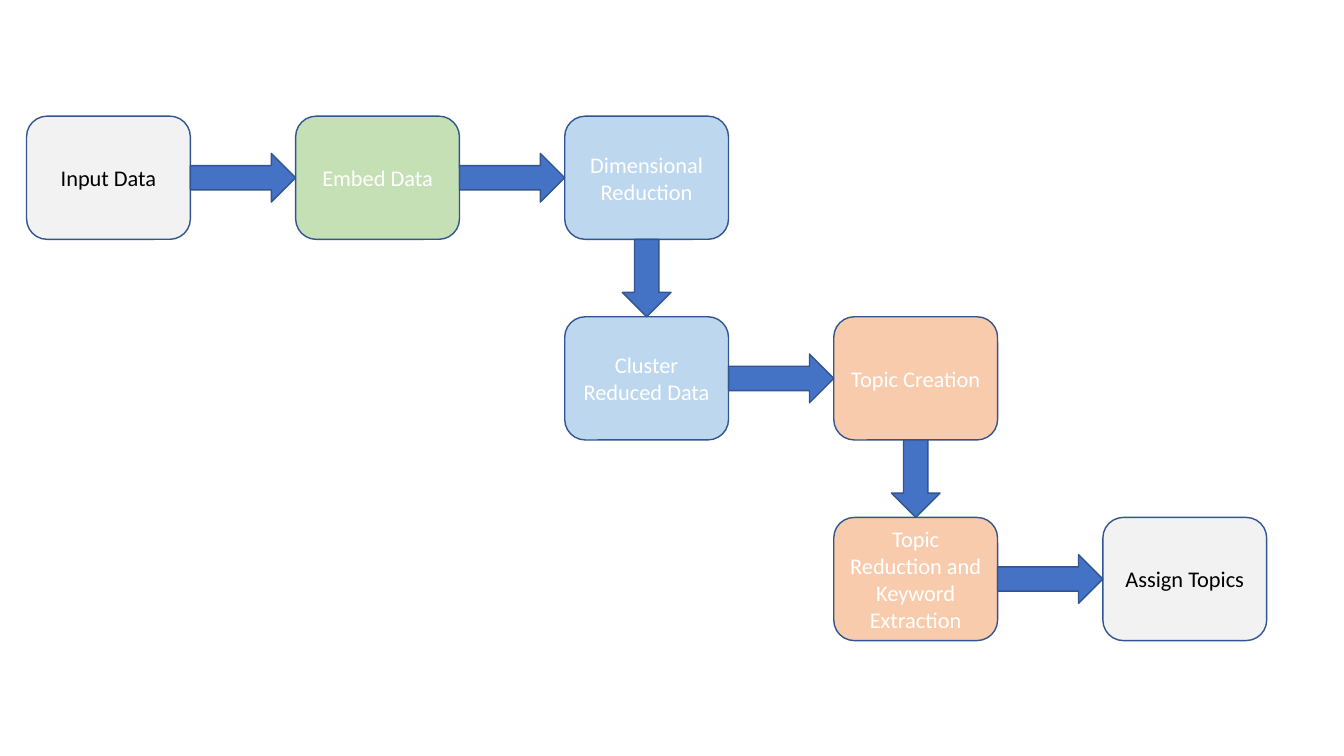
import pptx
import pptx.util
import pptx.dml.color
import pptx.enum.shapes
import pptx.enum.text
from dataclasses import dataclass

Pt = pptx.util.Pt
MSO_SHAPE = pptx.enum.shapes.MSO_SHAPE


@dataclass(frozen=True)
class Theme:
    font: str = "Calibri"
    size: float = 16
    line_width: float = 1
    line: str = "325491"
    arrow: str = "4472C4"
    light_text: str = "FFFFFF"
    dark_text: str = "000000"
    endpoint: str = "F2F2F2"
    embed: str = "C5E0B4"
    reduce: str = "BDD7EE"
    topic: str = "F8CBAD"


def rgb(color):
    return pptx.dml.color.RGBColor.from_string(color)


class FlowSlide:
    left, top = 19, 83
    box_w, box_h = 117, 88
    col_step, row_step = 192.2, 143.3
    arrow_h = 34.8

    def __init__(self, s, theme):
        self.s = s
        self.theme = theme

    def center(self, col, row):
        return (self.left + col * self.col_step + self.box_w / 2,
                self.top + row * self.row_step + self.box_h / 2)

    def shape(self, kind, center, w, h, fill):
        x, y = center
        sp = self.s.shapes.add_shape(kind, Pt(x - w / 2), Pt(y - h / 2), Pt(w), Pt(h))
        sp.shadow.inherit = False
        sp.fill.solid()
        sp.fill.fore_color.rgb = rgb(fill)
        sp.line.color.rgb = rgb(self.theme.line)
        sp.line.width = Pt(self.theme.line_width)
        return sp

    def box(self, text, col, row, fill, color):
        sp = self.shape(MSO_SHAPE.ROUNDED_RECTANGLE, self.center(col, row),
                        self.box_w, self.box_h, fill)
        tf = sp.text_frame
        tf.word_wrap = True
        tf.vertical_anchor = pptx.enum.text.MSO_ANCHOR.MIDDLE
        p = tf.paragraphs[0]
        p.text = text
        p.alignment = pptx.enum.text.PP_ALIGN.CENTER
        p.font.name = self.theme.font
        p.font.size = Pt(self.theme.size)
        p.font.color.rgb = rgb(color)

    def arrow(self, start, end):
        (x1, y1), (x2, y2) = self.center(*start), self.center(*end)
        down = start[0] == end[0]
        length = self.row_step - self.box_h if down else self.col_step - self.box_w
        sp = self.shape(MSO_SHAPE.RIGHT_ARROW, ((x1 + x2) / 2, (y1 + y2) / 2),
                        length, self.arrow_h, self.theme.arrow)
        sp.rotation = 90 if down else 0


theme = Theme()
steps = [
    ("Input Data", 0, 0, theme.endpoint, theme.dark_text),
    ("Embed Data", 1, 0, theme.embed, theme.light_text),
    ("Dimensional Reduction", 2, 0, theme.reduce, theme.light_text),
    ("Cluster Reduced Data", 2, 1, theme.reduce, theme.light_text),
    ("Topic Creation", 3, 1, theme.topic, theme.light_text),
    ("Topic Reduction and Keyword Extraction", 3, 2, theme.topic, theme.light_text),
    ("Assign Topics", 4, 2, theme.endpoint, theme.dark_text),
]

prs = pptx.Presentation()
prs.slide_width, prs.slide_height = Pt(960), Pt(540)
flow = FlowSlide(prs.slides.add_slide(prs.slide_layouts[6]), theme)

for step in steps:
    flow.box(*step)
for step, following in zip(steps, steps[1:]):
    flow.arrow(step[1:3], following[1:3])

prs.save("out.pptx")
